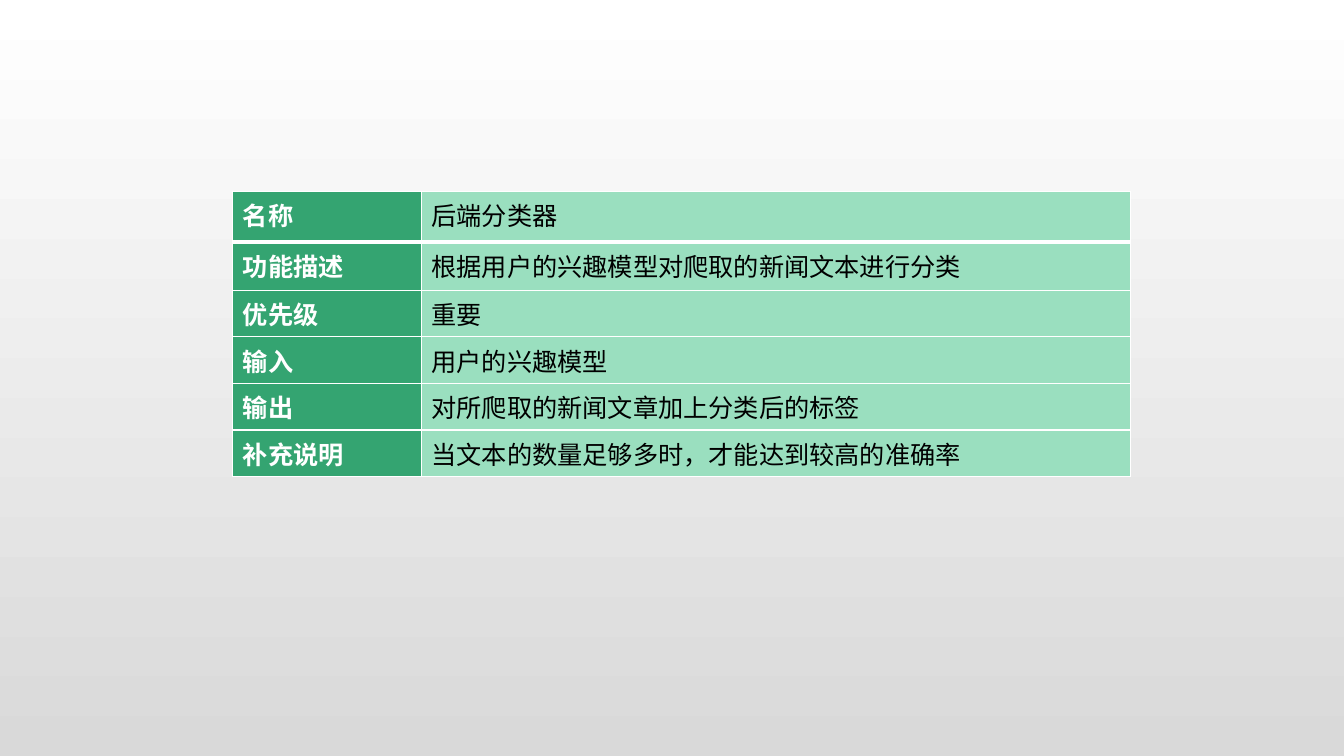
from pptx import Presentation
from pptx.dml.color import RGBColor as Color
from pptx.oxml.ns import qn
from pptx.util import Inches, Pt
from lxml.etree import SubElement

COLORS = {
    "white": "FFFFFF",
    "black": "000000",
    "silver": "D9D9D9",
    "label": "34A471",
    "detail": "9ADFBF",
}
FONT = "Arial"
COLUMN_WIDTHS = [1.87, 7.03]
ROW_HEIGHTS = [0.5, 0.48] + [0.42] * 4
MODULE_ROWS = [
    ("名称", "后端分类器"),
    ("功能描述", "根据用户的兴趣模型对爬取的新闻文本进行分类"),
    ("优先级", "重要"),
    ("输入", "用户的兴趣模型"),
    ("输出", "对所爬取的新闻文章加上分类后的标签"),
    ("补充说明", "当文本的数量足够多时，才能达到较高的准确率"),
]


def color(name):
    return Color.from_string(COLORS[name])


def paint_background(page, top, bottom):
    fill = page.background.fill
    fill.gradient()
    fill.gradient_angle = 270
    for stop, name, position in zip(fill.gradient_stops, (top, bottom), (0, 1)):
        stop.color.rgb = color(name)
        stop.position = position


def add_border(cell, side, points):
    properties = cell._tc.get_or_add_tcPr()
    line = SubElement(properties, qn(f"a:ln{side}"), w=str(Pt(points)))
    solid = SubElement(line, qn("a:solidFill"))
    SubElement(solid, qn("a:srgbClr"), val=COLORS["white"])


def format_cell(cell, text, fill, ink, bold, top, bottom):
    for side, points in (("L", 1), ("R", 1), ("T", top), ("B", bottom)):
        add_border(cell, side, points)
    cell.fill.solid()
    cell.fill.fore_color.rgb = color(fill)
    para = cell.text_frame.paragraphs[0]
    para.text = text
    font = para.runs[0].font
    font.name = FONT
    font.size = Pt(18)
    font.bold = bold
    font.color.rgb = color(ink)


def add_module_table(page, left, top):
    frame = page.shapes.add_table(
        len(MODULE_ROWS), len(COLUMN_WIDTHS), Inches(left), Inches(top),
        Inches(sum(COLUMN_WIDTHS)), Inches(sum(ROW_HEIGHTS)))
    table = frame.table
    for column, width in zip(table.columns, COLUMN_WIDTHS):
        column.width = Inches(width)
    for index, (label, detail) in enumerate(MODULE_ROWS):
        table.rows[index].height = Inches(ROW_HEIGHTS[index])
        above = 3 if index == 1 else 1
        below = 3 if index == 0 else 1
        format_cell(table.cell(index, 0), label, "label", "white", True, above, below)
        format_cell(table.cell(index, 1), detail, "detail", "black", False, above, below)


def main():
    deck = Presentation()
    deck.slide_width = Inches(13.33)
    deck.slide_height = Inches(7.5)
    page = deck.slides.add_slide(deck.slide_layouts[6])
    paint_background(page, "white", "silver")
    add_module_table(page, 2.31, 1.9)
    deck.save("out.pptx")


main()
